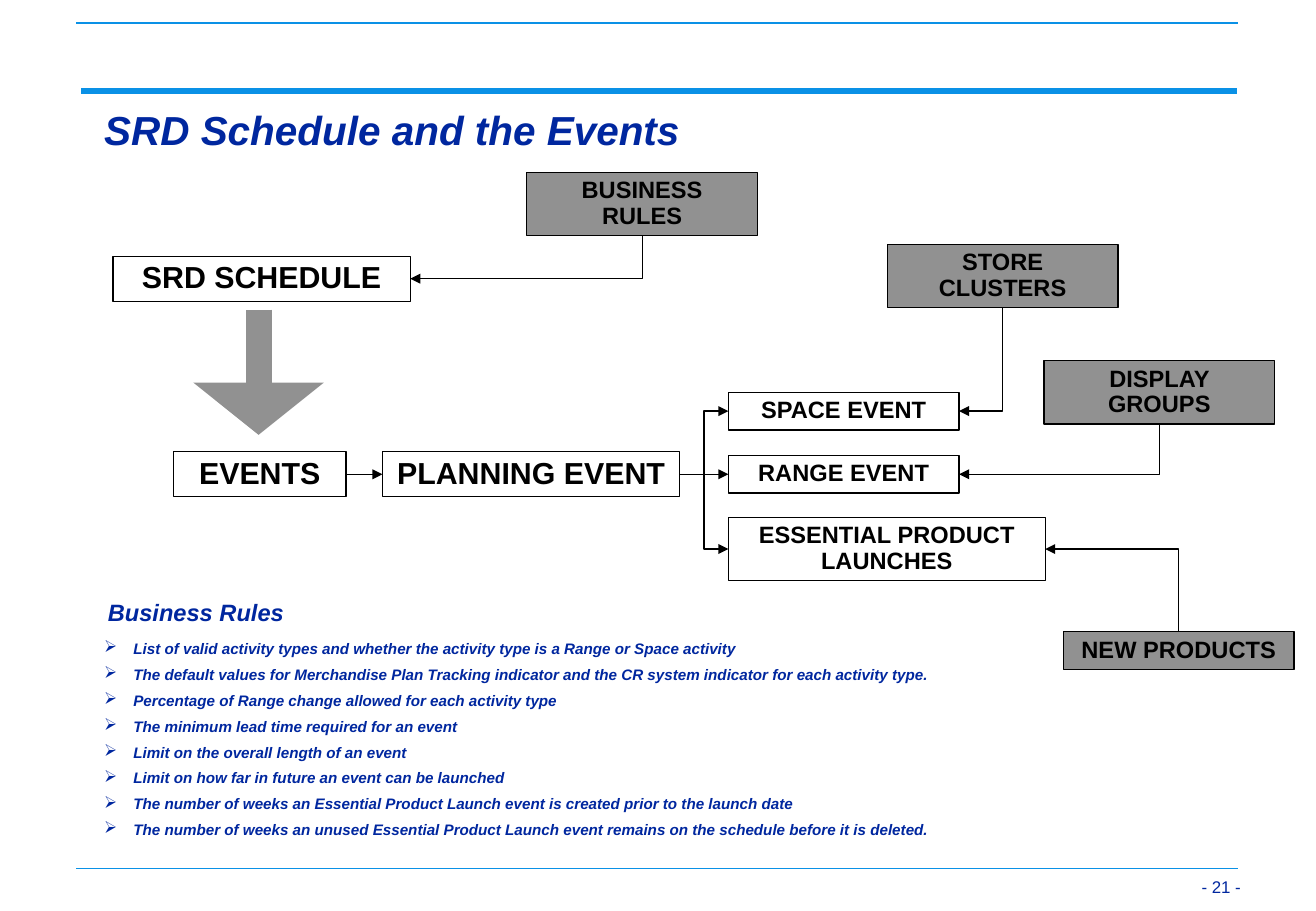
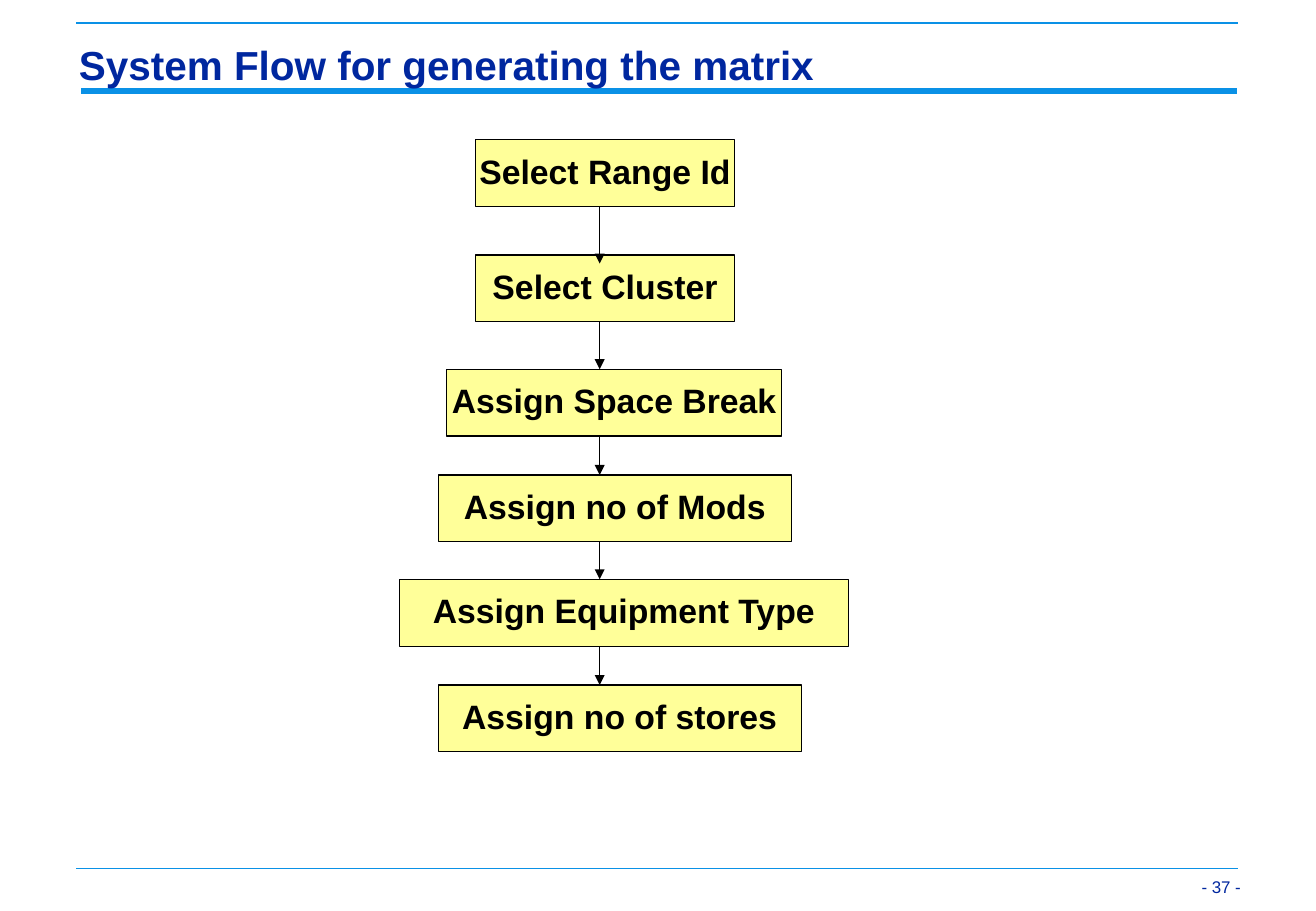
import pptx
import pptx.util
import pptx.dml.color
import pptx.enum.shapes
import pptx.enum.text
import pptx.oxml.ns
from lxml import etree

Inches = pptx.util.Inches
Pt = pptx.util.Pt
RGB = pptx.dml.color.RGBColor.from_string
qn = pptx.oxml.ns.qn
CONN = pptx.enum.shapes.MSO_CONNECTOR
RECT = pptx.enum.shapes.MSO_SHAPE.RECTANGLE
ALIGN = pptx.enum.text.PP_ALIGN
ANCHOR = pptx.enum.text.MSO_ANCHOR

COLORS = {"navy": "00279F", "blue": "0A91E6", "gray": "919191",
          "yellow": "FFFF99", "black": "000000"}
FONT = "Arial"
BULLET = "➢"


def write(sp, lines, size, color="navy", bold=True, italic=False, align=ALIGN.LEFT,
          anchor=ANCHOR.TOP, inset=(0.1, 0.05), wrap=True, spacing=0.9, bullet=False):
    tf = sp.text_frame
    tf.word_wrap = wrap
    tf.vertical_anchor = anchor
    tf.margin_left = tf.margin_right = Inches(inset[0])
    tf.margin_top = tf.margin_bottom = Inches(inset[1])
    for i, text in enumerate(lines):
        p = tf.add_paragraph() if i else tf.paragraphs[0]
        p.alignment = align
        p.line_spacing = spacing
        if i:
            p.space_before = Pt(5.6)
        if bullet:
            pPr = p._p.get_or_add_pPr()
            pPr.set("marL", str(Inches(0.24)))
            pPr.set("indent", str(-Inches(0.24)))
            clr = etree.SubElement(pPr, qn("a:buClr"))
            etree.SubElement(clr, qn("a:srgbClr"), val=COLORS[color])
            etree.SubElement(pPr, qn("a:buSzPct"), val="110000")
            etree.SubElement(pPr, qn("a:buChar"), char=BULLET)
        r = p.add_run()
        r.text = text
        r.font.name = FONT
        r.font.size = Pt(size)
        r.font.bold = bold
        r.font.italic = italic
        r.font.color.rgb = RGB(COLORS[color])


def draw_line(s, start, end, color="black", width=0.75, kind=CONN.STRAIGHT,
              arrow=None, arrow_size=("med", "med")):
    c = s.shapes.add_connector(kind, *[Inches(v) for v in (*start, *end)])
    c.line.color.rgb = RGB(COLORS[color])
    c.line.width = Pt(width)
    if arrow:
        etree.SubElement(c.line._get_or_add_ln(), qn(arrow), type="triangle",
                         w=arrow_size[0], len=arrow_size[1])
    etree.SubElement(c.element.spPr, qn("a:effectLst"))
    return c


prs = pptx.Presentation()
prs.slide_width = Inches(10.84)
prs.slide_height = Inches(7.5)

PAGES = [
    ("- 21 -", "SRD Schedule and the Events", (0.76, 0.86, 7.84, 0.46), {"italic": True}),
    ("- 37 -", "System Flow for generating the matrix", (0.58, 0.33, 9.63, 0.44),
     {"anchor": ANCHOR.BOTTOM, "inset": (0.07, 0.03), "spacing": 0.97}),
]
RULES = [(0.67, 10.19, 0.75, 4), (0.63, 10.2, 0.19, 1), (0.63, 10.2, 7.15, 1)]
for number, title, box, style in PAGES:
    s = prs.slides.add_slide(prs.slide_layouts[6])
    for left, right, y, width in RULES:
        draw_line(s, (left, y), (right, y), "blue", width)
    sp = s.shapes.add_textbox(*[Inches(v) for v in (9.69, 7.02, 0.6, 0.39)])
    write(sp, [number], 10, bold=False, align=ALIGN.RIGHT, anchor=ANCHOR.BOTTOM,
          inset=(0.07, 0.03), spacing=1.0)
    sp = s.shapes.add_textbox(*[Inches(v) for v in box])
    write(sp, [title], 24, **style)
schedule, flow = prs.slides

BOXES = [
    ("SRD SCHEDULE", 0.93, 2.11, 2.45, 0.37, 18, None),
    ("EVENTS", 1.43, 3.72, 1.42, 0.37, 18, None),
    ("PLANNING EVENT", 3.15, 3.72, 2.45, 0.37, 18, None),
    ("SPACE EVENT", 6, 3.23, 1.9, 0.31, 14, None),
    ("RANGE EVENT", 6, 3.75, 1.9, 0.31, 14, None),
    ("ESSENTIAL PRODUCT LAUNCHES", 6, 4.26, 2.61, 0.52, 14, None),
    ("BUSINESS RULES", 4.34, 1.42, 1.9, 0.52, 14, "gray"),
    ("STORE CLUSTERS", 7.31, 2.01, 1.9, 0.52, 14, "gray"),
    ("DISPLAY GROUPS", 8.6, 2.97, 1.9, 0.52, 14, "gray"),
    ("NEW PRODUCTS", 8.76, 5.2, 1.9, 0.31, 14, "gray"),
]
STEPS = [
    ("Select Range Id", 3.92, 1.15, 2.13),
    ("Select Cluster", 3.92, 2.1, 2.13),
    ("Assign Space Break", 3.68, 3.04, 2.76),
    ("Assign no of Mods", 3.61, 3.91, 2.91),
    ("Assign Equipment Type", 3.29, 4.77, 3.7),
    ("Assign no of stores", 3.61, 5.64, 2.99),
]
STEP_H = 0.55
nodes = {}
for s, boxes, wrap in [
    (schedule, BOXES, True),
    (flow, [(*step, STEP_H, 20, "yellow") for step in STEPS], False),
]:
    for text, x, y, w, h, size, fill in boxes:
        sp = s.shapes.add_shape(RECT, *[Inches(v) for v in (x, y, w, h)])
        sp.shadow.inherit = False
        if fill:
            sp.fill.solid()
            sp.fill.fore_color.rgb = RGB(COLORS[fill])
        else:
            sp.fill.background()
        sp.line.color.rgb = RGB(COLORS["black"])
        sp.line.width = Pt(0.75)
        write(sp, [text], size, "black", align=ALIGN.CENTER, anchor=ANCHOR.MIDDLE, wrap=wrap)
        nodes[text] = sp

LINKS = [
    ("EVENTS", "PLANNING EVENT", 3, 1, CONN.STRAIGHT),
    ("PLANNING EVENT", "SPACE EVENT", 3, 1, CONN.ELBOW),
    ("PLANNING EVENT", "RANGE EVENT", 3, 1, CONN.STRAIGHT),
    ("PLANNING EVENT", "ESSENTIAL PRODUCT LAUNCHES", 3, 1, CONN.ELBOW),
    ("SRD SCHEDULE", "BUSINESS RULES", 3, 2, None),
    ("SPACE EVENT", "STORE CLUSTERS", 3, 2, None),
    ("RANGE EVENT", "DISPLAY GROUPS", 3, 2, None),
    ("ESSENTIAL PRODUCT LAUNCHES", "NEW PRODUCTS", 3, 0, None),
]
for begin, end, begin_side, end_side, kind in LINKS:
    c = draw_line(schedule, (0, 0), (1, 1), kind=kind or CONN.ELBOW,
                  arrow="a:tailEnd" if kind else "a:headEnd")
    if kind is None:
        c.element.spPr.find(qn("a:prstGeom")).set("prst", "bentConnector2")
    c.begin_connect(nodes[begin], begin_side)
    c.end_connect(nodes[end], end_side)

draw_line(schedule, (2.13, 2.55), (2.13, 3.58), "gray", 15.5,
          arrow="a:tailEnd", arrow_size=("lg", "sm"))

sp = schedule.shapes.add_textbox(*[Inches(v) for v in (0.79, 4.9, 3.13, 0.31)])
write(sp, ["Business Rules"], 14, italic=True)
sp = schedule.shapes.add_textbox(*[Inches(v) for v in (0.76, 5.23, 8.79, 1.73)])
write(sp, [
    "List of valid activity types and whether the activity type is a Range or Space activity",
    "The default values for Merchandise Plan Tracking indicator and the CR system indicator for each activity type.",
    "Percentage of Range change allowed for each activity type",
    "The minimum lead time required for an event",
    "Limit on the overall length of an event",
    "Limit on how far in future an event can be launched",
    "The number of weeks an Essential Product Launch event is created prior to the launch date",
    "The number of weeks an unused Essential Product Launch event remains on the schedule before it is deleted.",
], 9, italic=True, bullet=True)

ARROW_X = 4.94
ARROW_ENDS = [2.17] + [step[2] for step in STEPS[2:]]
for step, end_y in zip(STEPS, ARROW_ENDS):
    draw_line(flow, (ARROW_X, step[2] + STEP_H), (ARROW_X, end_y), arrow="a:tailEnd")

prs.save("out.pptx")
